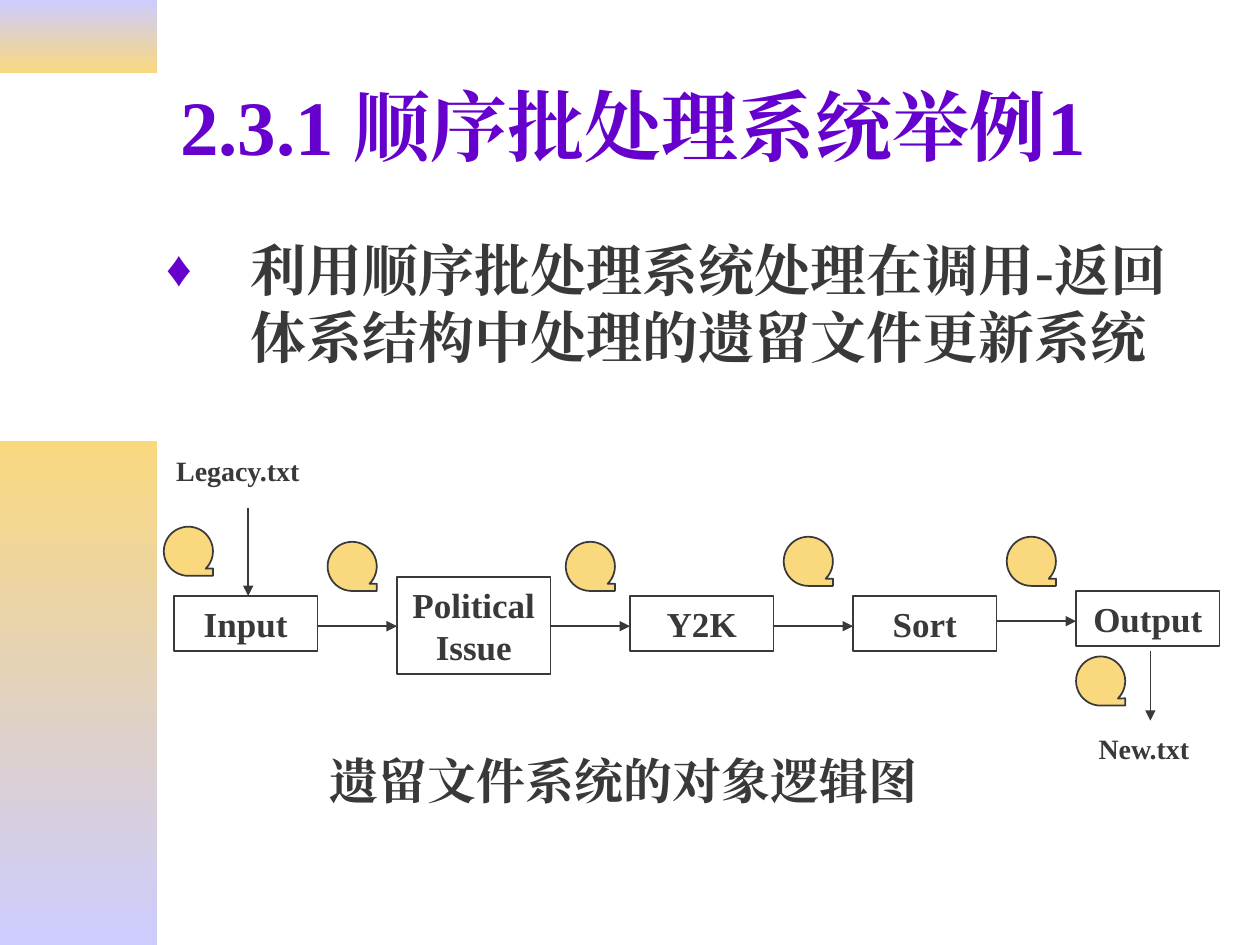
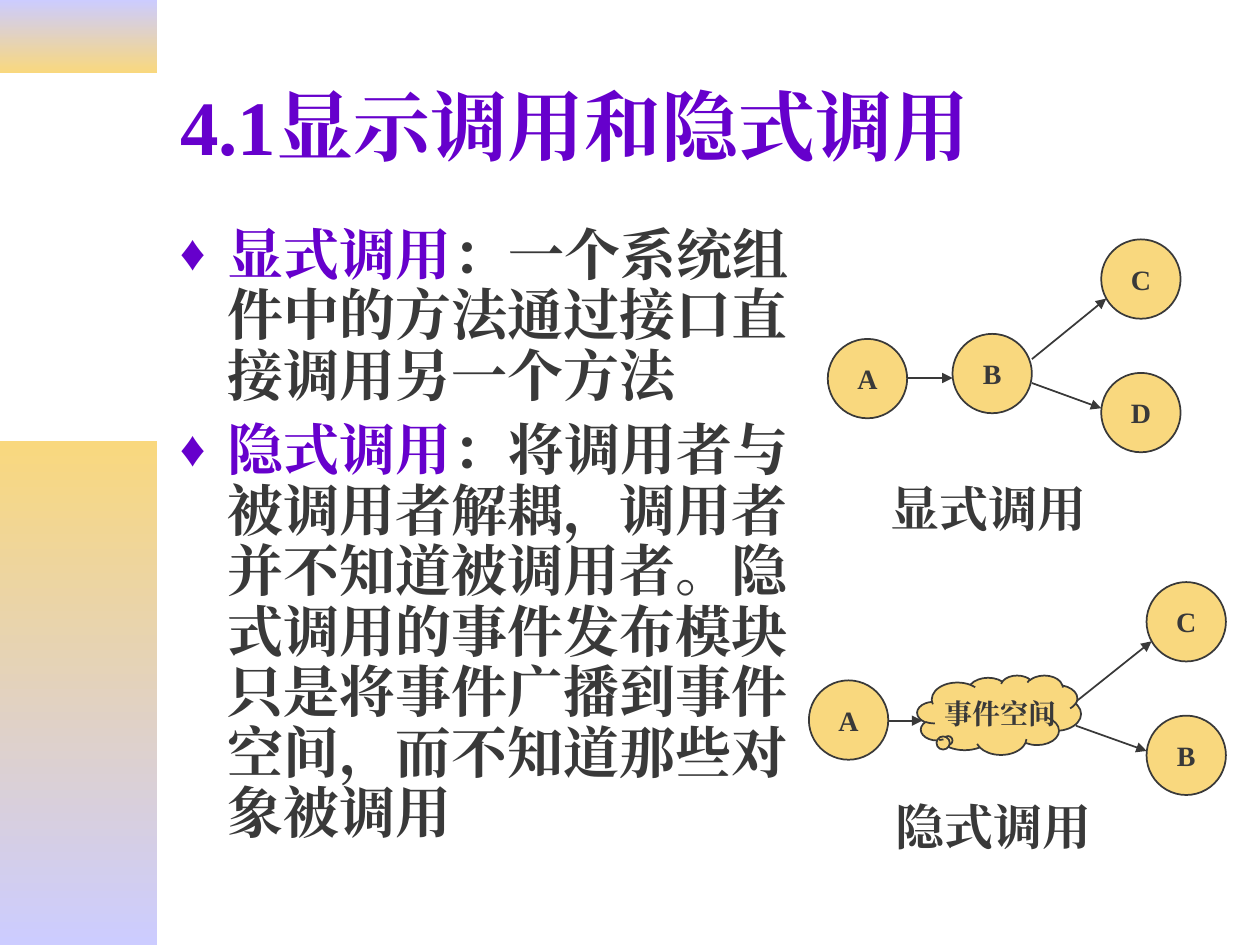
from dataclasses import dataclass

import lxml.etree
import pptx
import pptx.dml.color
import pptx.enum.shapes
import pptx.enum.text
import pptx.oxml.ns
import pptx.util

Inches = pptx.util.Inches
Shape = pptx.enum.shapes.MSO_SHAPE
Align = pptx.enum.text.PP_ALIGN
Anchor = pptx.enum.text.MSO_ANCHOR
qn = pptx.oxml.ns.qn


@dataclass(frozen=True)
class Theme:
    font: str = "Times New Roman"
    purple: str = "6600CC"
    ink: str = "393939"
    gold: str = "F9D87E"
    lavender: str = "CCCCFF"
    title: int = 44
    body: int = 32
    caption: int = 28
    step: int = 20
    label: int = 16
    line: int = 1


THEME = Theme()
TAPE_SIZE = 0.39
NODE_SIZE = 0.63


def rgb(value):
    return pptx.dml.color.RGBColor.from_string(value)


def style_paragraph(para, size, color=THEME.ink, align=Align.LEFT):
    para.alignment = align
    para.font.name = THEME.font
    para.font.size = pptx.util.Pt(size)
    para.font.bold = True
    para.font.color.rgb = rgb(color)
    defaults = para._p.pPr.find(qn("a:defRPr"))
    lxml.etree.SubElement(defaults, qn("a:ea"), typeface=THEME.font)


def add_bullet(para, indent):
    """Give the paragraph a purple diamond that hangs by indent inches."""
    properties = para._p.get_or_add_pPr()
    properties.set("marL", str(Inches(indent)))
    properties.set("indent", str(-Inches(indent)))
    color = lxml.etree.SubElement(properties, qn("a:buClr"))
    lxml.etree.SubElement(color, qn("a:srgbClr"), val=THEME.purple)
    lxml.etree.SubElement(properties, qn("a:buSzPct"), val="90000")
    lxml.etree.SubElement(properties, qn("a:buFont"), typeface=THEME.font)
    lxml.etree.SubElement(properties, qn("a:buChar"), char="♦")


def add_band(page, top, height, colors):
    band = page.shapes.add_shape(
        Shape.RECTANGLE, 0, Inches(top), Inches(1.25), Inches(height))
    band.shadow.inherit = False
    band.line.fill.background()
    band.fill.gradient()
    band.fill.gradient_angle = 270
    for stop, position, color in zip(band.fill.gradient_stops, (0, 1), colors):
        stop.position = position
        stop.color.rgb = rgb(color)


def add_page(deck, title):
    page = deck.slides.add_slide(deck.slide_layouts.get_by_name("Title Only"))
    add_band(page, 0, 0.58, (THEME.lavender, THEME.gold))
    add_band(page, 3.5, 4, (THEME.gold, THEME.lavender))
    heading = page.shapes.title
    heading.left, heading.top = Inches(1.33), Inches(0.33)
    heading.width, heading.height = Inches(8.5), Inches(1.32)
    heading.text_frame.text = title
    heading.text_frame.vertical_anchor = Anchor.MIDDLE
    style_paragraph(heading.text_frame.paragraphs[0], THEME.title, THEME.purple)
    return page


def add_text_box(page, left, top, width, height):
    box = page.shapes.add_textbox(
        Inches(left), Inches(top), Inches(width), Inches(height))
    box.text_frame.word_wrap = True
    return box.text_frame


def add_body(page, place, items, indent, line_spacing=1.0):
    """Add bulleted items, each a pair of a purple term and the text after it."""
    frame = add_text_box(page, *place)
    for number, (term, text) in enumerate(items):
        para = frame.add_paragraph() if number else frame.paragraphs[0]
        para.line_spacing = line_spacing
        if number:
            para.space_before = pptx.util.Pt(8)
        add_bullet(para, indent)
        style_paragraph(para, THEME.body)
        if term:
            span = para.add_run()
            span.text = term
            span.font.color.rgb = rgb(THEME.purple)
        para.add_run().text = text


def add_label(page, text, left, top, width, height=0.37, size=THEME.label):
    frame = add_text_box(page, left, top, width, height)
    frame.text = text
    style_paragraph(frame.paragraphs[0], size)


def add_caption(page, text, left, top, width):
    add_label(page, text, left, top, width, 0.57, THEME.caption)


def add_outlined(page, kind, left, top, width, height, fill=THEME.gold):
    shape = page.shapes.add_shape(
        kind, Inches(left), Inches(top), Inches(width), Inches(height))
    shape.shadow.inherit = False
    if fill:
        shape.fill.solid()
        shape.fill.fore_color.rgb = rgb(fill)
    else:
        shape.fill.background()
    shape.line.color.rgb = rgb(THEME.ink)
    shape.line.width = pptx.util.Pt(THEME.line)
    return shape


def add_step(page, text, *place):
    box = add_outlined(page, Shape.RECTANGLE, *place, fill=None)
    box.text_frame.text = text
    box.text_frame.word_wrap = True
    box.text_frame.vertical_anchor = Anchor.TOP
    style_paragraph(box.text_frame.paragraphs[0], THEME.step, align=Align.CENTER)


def add_tape(page, left, top):
    add_outlined(page, Shape.FLOWCHART_SEQUENTIAL_ACCESS_STORAGE,
                 left, top, TAPE_SIZE, TAPE_SIZE)


def add_node(page, text, left, top):
    node = add_outlined(page, Shape.OVAL, left, top, NODE_SIZE, NODE_SIZE)
    frame = node.text_frame
    frame.text = text
    frame.word_wrap = False
    frame.vertical_anchor = Anchor.MIDDLE
    style_paragraph(frame.paragraphs[0], THEME.label, align=Align.CENTER)


def add_arrow(page, start_x, start_y, end_x, end_y):
    arrow = page.shapes.add_connector(
        pptx.enum.shapes.MSO_CONNECTOR.STRAIGHT,
        Inches(start_x), Inches(start_y), Inches(end_x), Inches(end_y))
    arrow.line.color.rgb = rgb(THEME.ink)
    arrow.line.width = pptx.util.Pt(THEME.line)
    lxml.etree.SubElement(arrow.line._get_or_add_ln(), qn("a:tailEnd"), type="triangle")
    lxml.etree.SubElement(arrow._element.spPr, qn("a:effectLst"))


def build_batch_page(deck):
    page = add_page(deck, "2.3.1 顺序批处理系统举例1")
    add_body(page, (1.22, 1.82, 8.5, 1.73),
             [("", "利用顺序批处理系统处理在调用-返回体系结构中处理的遗留文件更新系统")],
             indent=0.67)

    steps = [
        ("Input", 1.38, 4.73, 1.14, 0.44),
        ("Political Issue", 3.15, 4.58, 1.22, 0.77),
        ("Y2K", 5, 4.73, 1.14, 0.44),
        ("Sort", 6.77, 4.73, 1.14, 0.44),
        ("Output", 8.54, 4.69, 1.14, 0.44),
    ]
    for step in steps:
        add_step(page, *step)
    for source, target, y in zip(steps, steps[1:], (4.97, 4.97, 4.97, 4.93)):
        add_arrow(page, source[1] + source[3], y, target[1], y)
    add_arrow(page, 1.97, 4.03, 1.97, 4.73)
    add_arrow(page, 9.13, 5.17, 9.13, 5.72)

    for left, top in ((1.3, 4.18), (2.6, 4.3), (4.49, 4.3),
                      (6.22, 4.26), (7.99, 4.26), (8.54, 5.21)):
        add_tape(page, left, top)
    add_label(page, "Legacy.txt", 1.3, 3.55, 1.42)
    add_label(page, "New.txt", 8.62, 5.76, 0.98)
    add_caption(page, "遗留文件系统的对象逻辑图", 2.52, 5.91, 4.92)


def build_invocation_page(deck):
    page = add_page(deck, "4.1显示调用和隐式调用")
    add_body(page, (1.33, 1.75, 5.24, 5.35), [
        ("显式调用", "：一个系统组件中的方法通过接口直接调用另一个方法"),
        ("隐式调用", "：将调用者与被调用者解耦，调用者并不知道被调用者。"
                 "隐式调用的事件发布模块只是将事件广播到事件空间，而不知道那些对象被调用"),
    ], indent=0.38, line_spacing=0.9)

    explicit_nodes = [("A", 6.57, 2.69), ("B", 7.56, 2.65),
                      ("C", 8.74, 1.9), ("D", 8.74, 2.96)]
    implicit_nodes = [("A", 6.42, 5.4), ("C", 9.1, 4.62), ("B", 9.1, 5.68)]
    for node in explicit_nodes + implicit_nodes:
        add_node(page, *node)

    explicit_arrows = [(7.2, 3, 7.56, 3), (8.19, 2.85, 8.78, 2.37),
                       (8.19, 3.04, 8.74, 3.24)]
    event_arrows = [(8.55, 5.56, 9.14, 5.09), (8.54, 5.76, 9.1, 5.96)]
    for arrow in explicit_arrows + event_arrows:
        add_arrow(page, *arrow)

    event_space = add_outlined(page, Shape.CLOUD_CALLOUT, 7.28, 5.36, 1.3, 0.63)
    event_space.adjustments[0] = -0.305
    event_space.adjustments[1] = 0.315
    add_label(page, "事件空间", 7.4, 5.48, 1.18)
    add_arrow(page, 7.05, 5.72, 7.32, 5.72)

    add_caption(page, "显式调用", 6.97, 3.75, 2.05)
    add_caption(page, "隐式调用", 7.01, 6.27, 2.05)


def main():
    deck = pptx.Presentation()
    deck.slide_width, deck.slide_height = Inches(10), Inches(7.5)
    build_batch_page(deck)
    build_invocation_page(deck)
    deck.save("out.pptx")


if __name__ == "__main__":
    main()
